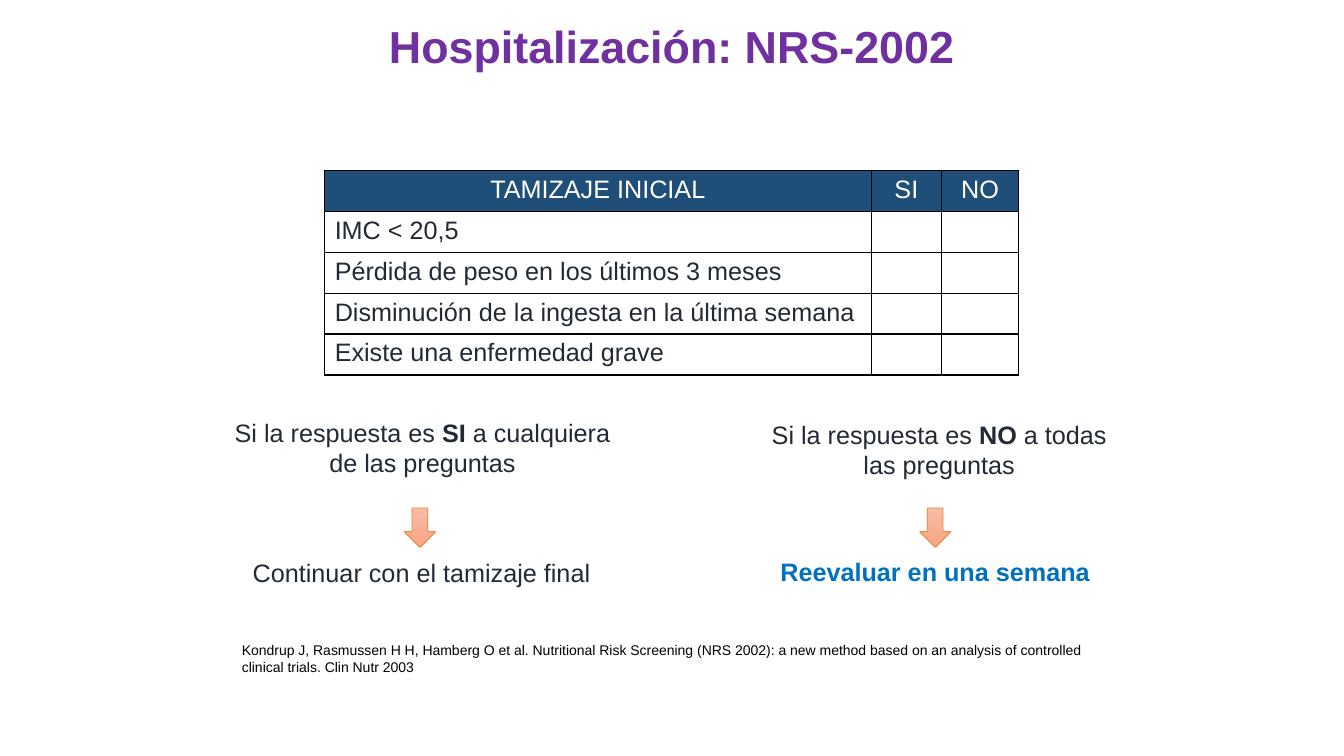
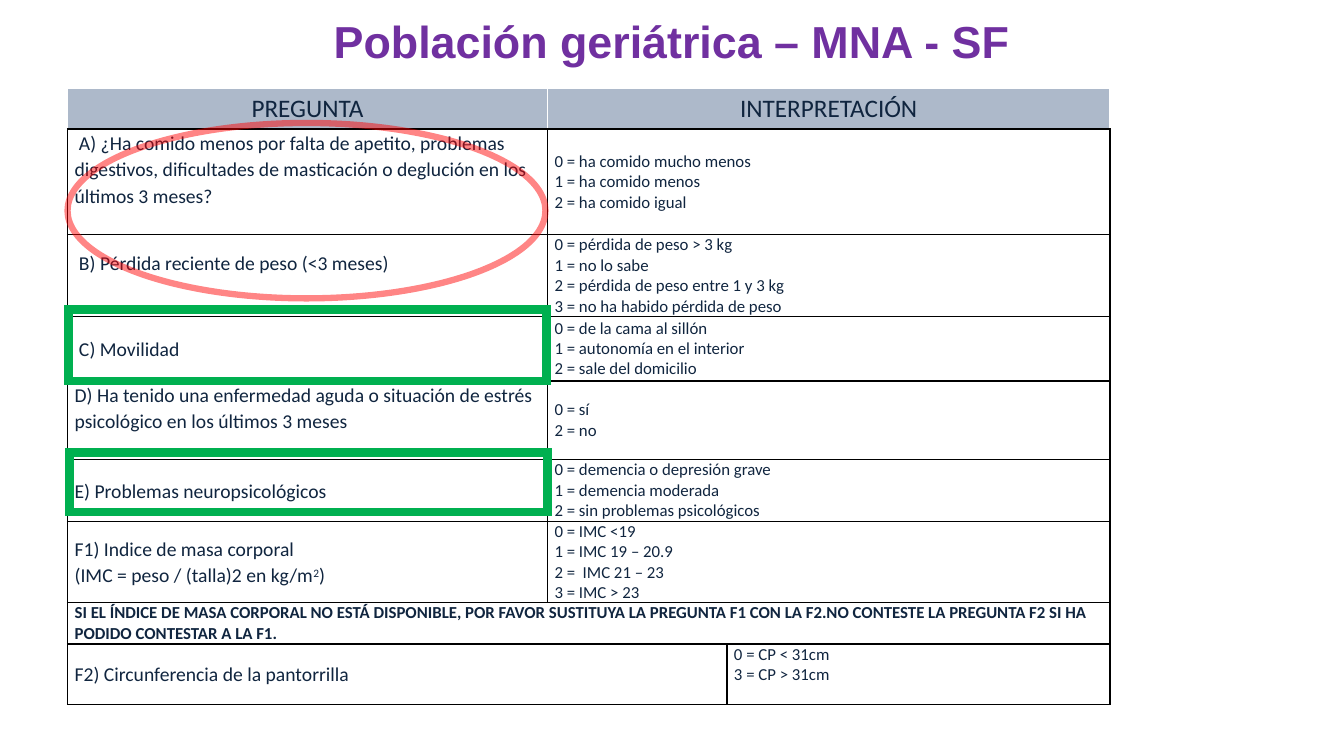
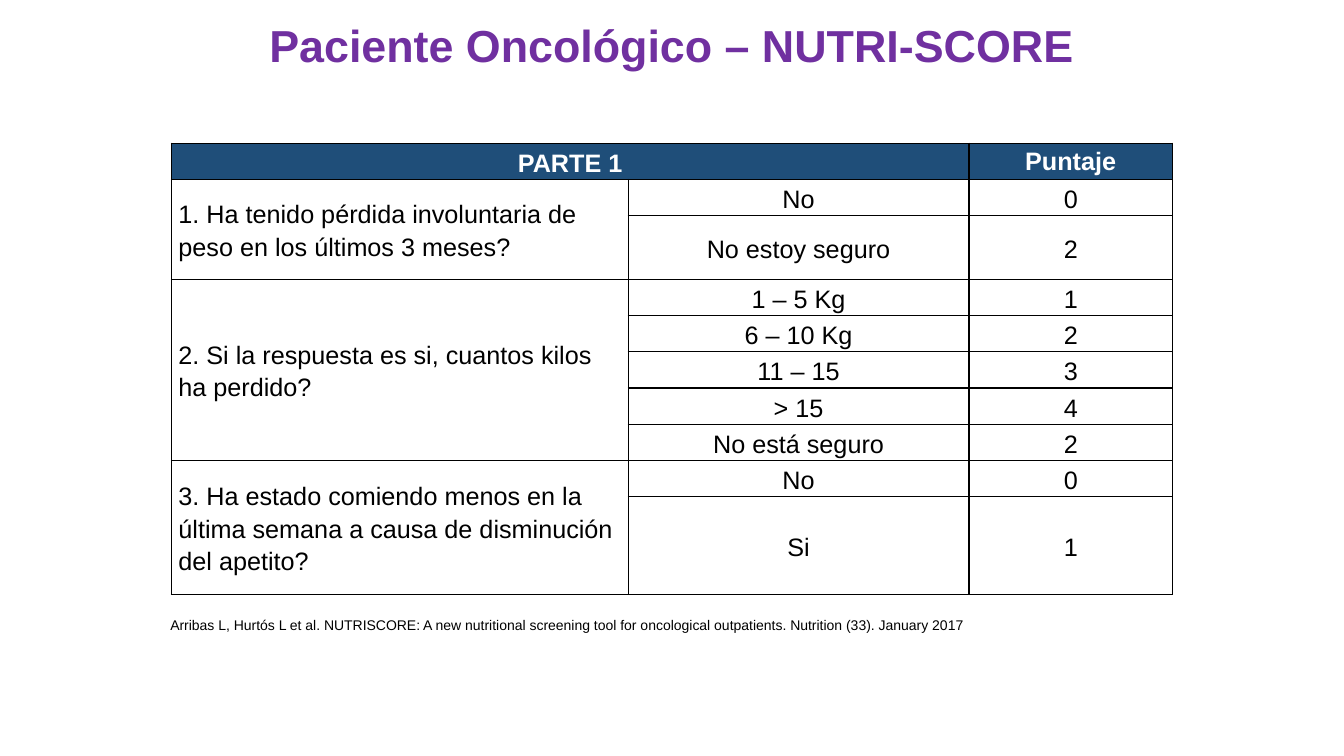
from lxml import etree
from pptx import Presentation
from pptx.dml.color import RGBColor
from pptx.enum import shapes, text
from pptx.oxml import ns
from pptx.util import Inches, Pt

PURPLE, NAVY, GREY, WHITE = "7030A0", "1F4E79", "ADB9CA", "FFFFFF"
BLACK, SLATE, INK, BLUE = "000000", "222A35", "10253F", "0070C0"
LEFT, MID = text.PP_ALIGN.LEFT, text.PP_ALIGN.CENTER
TOP, CENTRE = text.MSO_ANCHOR.TOP, text.MSO_ANCHOR.MIDDLE
RECT, OVAL = shapes.MSO_SHAPE.RECTANGLE, shapes.MSO_SHAPE.OVAL
rgb = RGBColor.from_string


def put(box, words, size=18, color=BLACK, align=LEFT, bold=False, font="Arial", gap=1.0):
    """Write one paragraph per line; parts between asterisks are bold."""
    frame = box.text_frame
    for n, line in enumerate(words.split("\n")):
        para = frame.add_paragraph() if n else frame.paragraphs[0]
        para.alignment, para.line_spacing = align, gap
        para.font.name, para.font.size = font, Pt(size)
        para.font.bold, para.font.color.rgb = bold, rgb(color)
        for i, part in enumerate(line.split("*")):
            run = para.add_run()
            run.text = part
            if i % 2:
                run.font.bold = True


def grid(page, left, top, cols, rows, head, edge=BLACK):
    """Add a bordered table; edge colours the header's left, right and top."""
    frame = page.shapes.add_table(len(rows), len(cols), Inches(left), Inches(top),
                                  Inches(sum(cols)), Inches(sum(rows)))
    table = frame.table
    table.first_row = table.horz_banding = False
    for col, width in zip(table.columns, cols):
        col.width = Inches(width)
    for r, height in enumerate(rows):
        table.rows[r].height = Inches(height)
        for cell in table.rows[r].cells:
            props = cell._tc.get_or_add_tcPr()
            for side in ("lnL", "lnR", "lnT", "lnB"):
                line = etree.SubElement(props, ns.qn("a:" + side), w=str(Pt(1)))
                solid = etree.SubElement(line, ns.qn("a:solidFill"))
                tint = edge if r == 0 and side != "lnB" else BLACK
                etree.SubElement(solid, ns.qn("a:srgbClr"), val=tint)
            cell.fill.solid()
            cell.fill.fore_color.rgb = rgb(WHITE if r else head)
    return table


deck = Presentation()
deck.slide_width, deck.slide_height = Inches(13.33), Inches(7.5)
first, second, third = pages = [deck.slides.add_slide(deck.slide_layouts[6]) for _ in range(3)]

# Titles
titles = [
    ("Hospitalización: NRS-2002", 0.06, 0.86),
    ("Población geriátrica – MNA - SF", -0.02, 0.92),
    ("Paciente Oncológico – NUTRI-SCORE", 0, 0.95),
]
for page, (words, top, height) in zip(pages, titles):
    box = page.shapes.add_textbox(0, Inches(top), deck.slide_width, Inches(height))
    box.text_frame.word_wrap = True
    box.text_frame.vertical_anchor = CENTRE
    put(box, words, 32, PURPLE, MID, True, gap=0.9)

# Slide 1: answers
notes = [
    (2.22, 4.09, 3.94, 0.71, "Si la respuesta es *SI* a cualquiera \nde las preguntas", SLATE, False),
    (7.55, 4.11, 3.53, 0.71, "Si la respuesta es *NO* a todas \nlas preguntas", SLATE, False),
    (2.39, 5.48, 3.58, 0.4, "Continuar con el tamizaje final", SLATE, False),
    (7.59, 5.47, 3.37, 0.4, "Reevaluar en una semana", BLUE, True),
]
for left, top, width, height, words, tint, bold in notes:
    box = first.shapes.add_textbox(Inches(left), Inches(top), Inches(width), Inches(height))
    box.text_frame.word_wrap = True
    put(box, words, 18, tint, MID, bold)

# Sources
cites = [
    (first, 2.3, 6.32, 8.89, 0.44,
     "Kondrup J, Rasmussen H H, Hamberg O et al. Nutritional Risk Screening (NRS 2002): "
     "a new method based on an analysis of controlled clinical trials. Clin Nutr 2003"),
    (third, 1.59, 6.07, 10.05, 0.27,
     "Arribas L, Hurtós L et al. NUTRISCORE: A new nutritional screening tool for "
     "oncological outpatients. Nutrition (33). January 2017"),
]
for page, left, top, width, height, words in cites:
    box = page.shapes.add_shape(RECT, Inches(left), Inches(top), Inches(width), Inches(height))
    box.shadow.inherit = False
    box.fill.solid()
    box.fill.fore_color.rgb = rgb(WHITE)
    box.line.fill.background()
    box.text_frame.word_wrap = True
    box.text_frame.vertical_anchor = TOP
    put(box, words, 10)

# Slide 1: initial screening
table = grid(first, 3.22, 1.69, [5.42, 0.7, 0.76], [2.03 / 5] * 5, NAVY)
for c, words in enumerate(["TAMIZAJE INICIAL", "SI", "NO"]):
    put(table.cell(0, c), words, color=WHITE, align=MID)
signs = ["IMC < 20,5", "Pérdida de peso en los últimos 3 meses",
         "Disminución de la ingesta en la última semana", "Existe una enfermedad grave"]
for r, words in enumerate(signs, 1):
    put(table.cell(r, 0), words, color=SLATE)

for left in (4.01, 9.12):
    arrow = first.shapes.add_shape(shapes.MSO_SHAPE.DOWN_ARROW, Inches(left), Inches(5.04),
                                   Inches(0.31), Inches(0.39))
    arrow.shadow.inherit = False
    arrow.fill.gradient()
    arrow.fill.gradient_angle = 270
    for stop, tint in zip(arrow.fill.gradient_stops, ("F7BDA5", "F8A582")):
        stop.color.rgb = rgb(tint)
    arrow.line.color.rgb = rgb("ED7D31")
    arrow.line.width = Pt(0.5)

# Slide 2: question, answers, bottom margins of both cells
asks = [
    (" A) ¿Ha comido menos por falta de apetito, problemas digestivos, dificultades de "
     "masticación o deglución en los últimos 3 meses?",
     "0 = ha comido mucho menos\n1 = ha comido menos\n2 = ha comido igual", 0.26, 0),
    (" B) Pérdida reciente de peso (<3 meses)",
     "0 = pérdida de peso > 3 kg\n1 = no lo sabe\n2 = pérdida de peso entre 1 y 3 kg\n"
     "3 = no ha habido pérdida de peso", 0.26, 0),
    (" C) Movilidad",
     "0 = de la cama al sillón\n1 = autonomía en el interior\n2 = sale del domicilio", 0, 0),
    ("D) Ha tenido una enfermedad aguda o situación de estrés psicológico en los últimos 3 meses",
     "0 = sí\n2 = no", 0.26, 0),
    ("E) Problemas neuropsicológicos",
     "0 = demencia o depresión grave\n1 = demencia moderada\n2 = sin problemas psicológicos", 0, 0),
    ("F1) Indice de masa corporal\n(IMC = peso / (talla)2 en kg/m*2*)",
     "0 = IMC <19\n1 = IMC 19 – 20.9\n2 =  IMC 21 – 23\n3 = IMC > 23", 0, 0),
    ("SI EL ÍNDICE DE MASA CORPORAL NO ESTÁ DISPONIBLE, POR FAVOR SUSTITUYA LA PREGUNTA F1 "
     "CON LA F2.NO CONTESTE LA PREGUNTA F2 SI HA PODIDO CONTESTAR A LA F1.", "", 0, 0),
    ("F2) Circunferencia de la pantorrilla", "0 = CP < 31cm\n3 = CP > 31cm", 0, 0.2),
]
table = grid(second, 0.67, 0.88, [4.76, 1.78, 3.8],
             [0.4, 1.05, 0.81, 0.64, 0.78, 0.61, 0.81, 0.41, 0.6], GREY, WHITE)
for r in range(7):
    table.cell(r, 1).merge(table.cell(r, 2))
table.cell(7, 0).merge(table.cell(7, 2))
table.cell(8, 0).merge(table.cell(8, 1))
for c, words in enumerate(["PREGUNTA", "INTERPRETACIÓN"]):
    put(table.cell(0, c), words, 18, INK, MID, font="Calibri")
for r, (ask, reply, *lows) in enumerate(asks, 1):
    pair = table.cell(r, 0), table.cell(r, 2 if r == 8 else 1)
    for cell, low in zip(pair, lows):
        cell.vertical_anchor = CENTRE
        cell.margin_left = cell.margin_right = Inches(0.07)
        cell.margin_top, cell.margin_bottom = 0, Inches(low)
    if reply:
        put(pair[0], ask, 14, INK, font="Calibri", gap=1.0 if r == 8 else 1.1)
        put(pair[1], reply, 12, INK, font="Calibri")
    else:
        put(pair[0], ask, 12, INK, bold=True, font="Calibri")
power = table.cell(6, 0).text_frame.paragraphs[1].runs[1]
power.font.bold = False
power._r.get_or_add_rPr().set("baseline", "30000")

marks = [
    (OVAL, 0.67, 1.22, 1.74, "FF0000", 4.5),
    (RECT, 0.68, 3.07, 0.71, "00B050", 6),
    (RECT, 0.69, 4.49, 0.59, "00B050", 6),
]
for kind, left, top, height, tint, width in marks:
    mark = second.shapes.add_shape(kind, Inches(left), Inches(top), Inches(4.74), Inches(height))
    mark.shadow.inherit = False
    mark.fill.background()
    mark.line.color.rgb = rgb(tint)
    mark.line.width = Pt(width)
    stroke = mark.line._ln
    etree.SubElement(stroke, ns.qn("a:miter"), lim="800000")
    if kind == OVAL:
        shade = stroke.find(".//" + ns.qn("a:srgbClr"))
        etree.SubElement(shade, ns.qn("a:alpha"), val="48000")

# Slide 3: each question with its options and scores
parts = [
    ("1. Ha tenido pérdida involuntaria de peso en los últimos 3 meses?",
     [("No", "0"), ("No estoy seguro", "2")]),
    ("2. Si la respuesta es si, cuantos kilos ha perdido?",
     [("1 – 5 Kg", "1"), ("6 – 10 Kg", "2"), ("11 – 15", "3"), ("> 15", "4"),
      ("No está seguro", "2")]),
    ("3. Ha estado comiendo menos en la última semana a causa de disminución del apetito?",
     [("No", "0"), ("Si", "1")]),
]
table = grid(third, 1.7, 1.42, [4.53, 3.38, 2.02],
             [0.36, 0.36, 0.63] + [0.36] * 6 + [0.97], NAVY)
for cell in table.iter_cells():
    cell.vertical_anchor = CENTRE
    cell.margin_left = cell.margin_right = Inches(0.07)
    cell.margin_top = cell.margin_bottom = 0
table.cell(0, 0).merge(table.cell(0, 1))
table.cell(0, 2).vertical_anchor = TOP
for c, words in ((0, "PARTE 1"), (2, "Puntaje")):
    put(table.cell(0, c), words, color=WHITE, align=MID, bold=True, gap=1.15)
row = 1
for ask, picks in parts:
    table.cell(row, 0).merge(table.cell(row + len(picks) - 1, 0))
    put(table.cell(row, 0), ask, gap=1.15)
    for pick in picks:
        for c, words in enumerate(pick, 1):
            put(table.cell(row, c), words, align=MID, gap=1.15)
        row += 1

deck.save("out.pptx")
